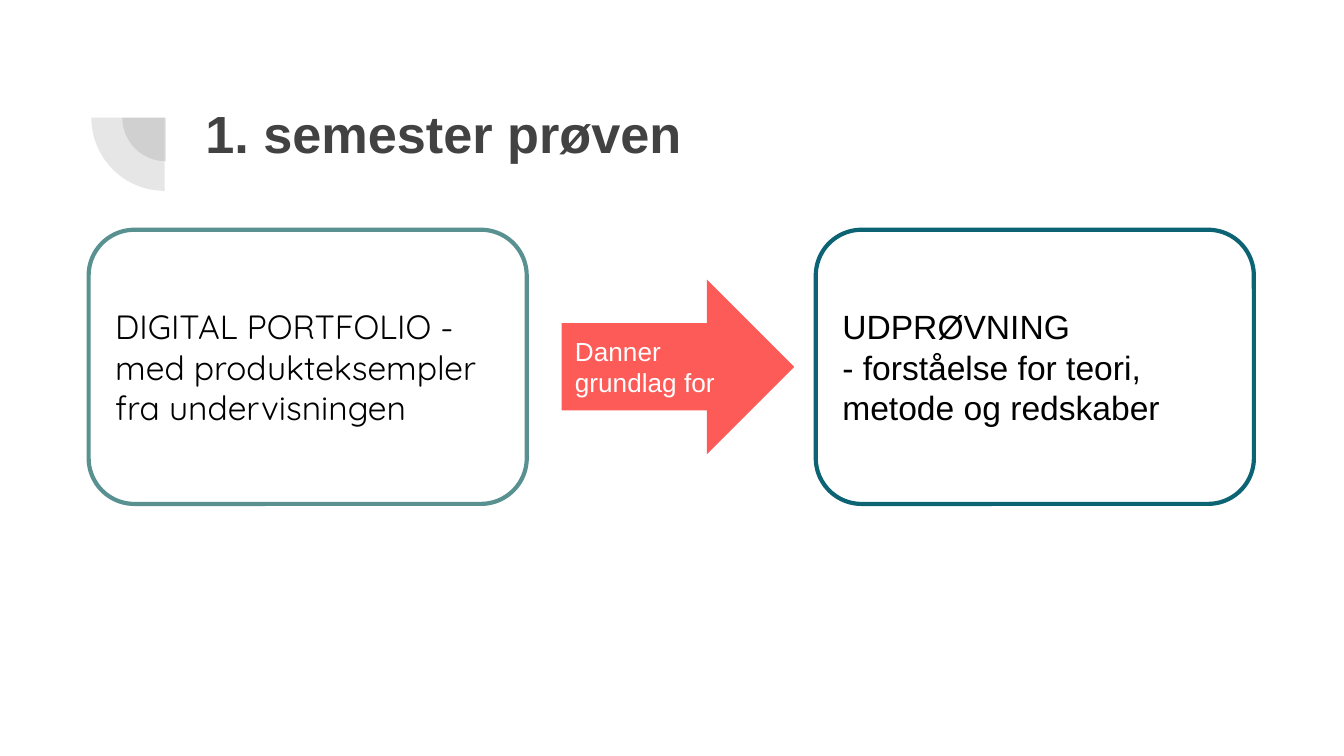
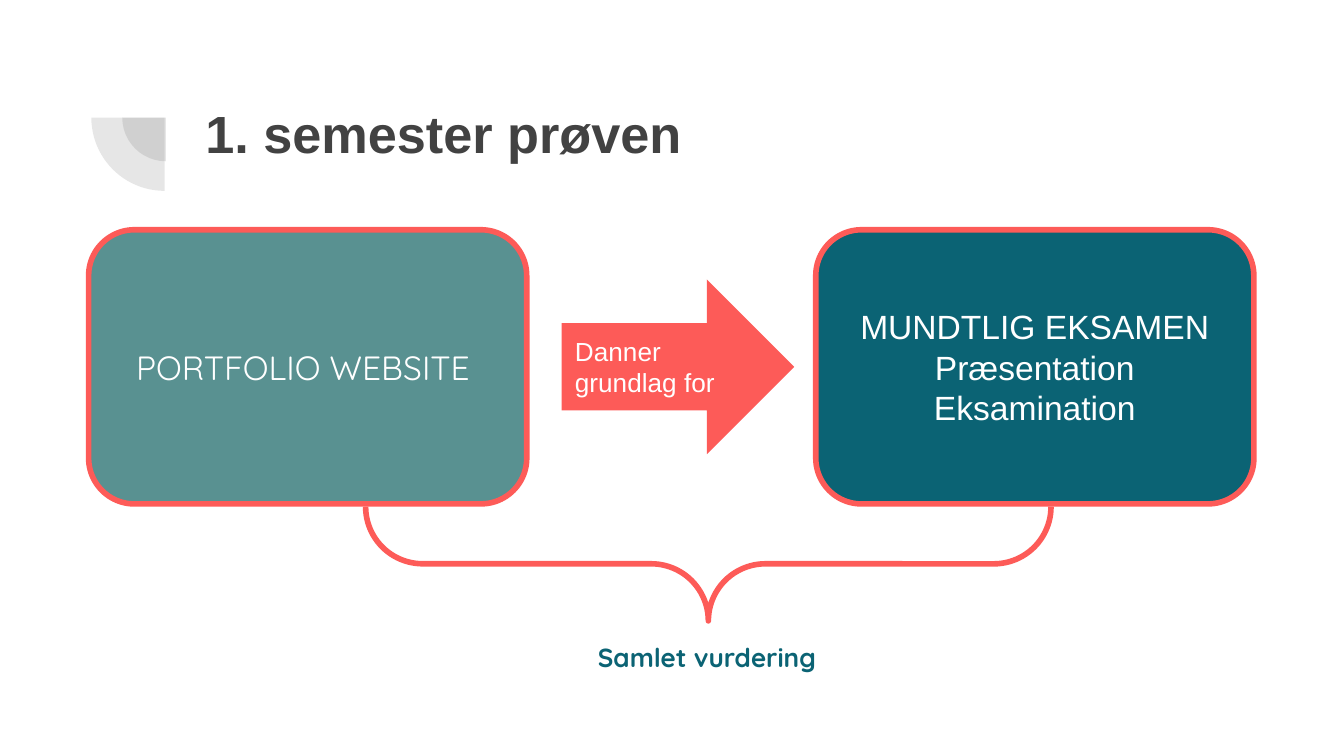
from dataclasses import dataclass

from lxml import etree
from pptx import Presentation
from pptx.dml.color import RGBColor
from pptx.enum.shapes import MSO_SHAPE
from pptx.enum.text import MSO_ANCHOR, PP_ALIGN
from pptx.oxml.ns import qn
from pptx.util import Inches, Pt

PIE, ROUNDED = MSO_SHAPE.PIE, MSO_SHAPE.ROUNDED_RECTANGLE
ARROW, BRACE = MSO_SHAPE.RIGHT_ARROW, MSO_SHAPE.RIGHT_BRACE
TOP, MIDDLE = MSO_ANCHOR.TOP, MSO_ANCHOR.MIDDLE
LEFT, CENTER = PP_ALIGN.LEFT, PP_ALIGN.CENTER


@dataclass(frozen=True)
class Theme:
    grey: str = "424242"
    black: str = "000000"
    white: str = "FFFFFF"
    sage: str = "599191"
    petrol: str = "0B6374"
    coral: str = "FD5B58"
    sans: str = "Arial"
    rounded: str = "Quicksand"
    title_size: int = 28
    body_size: int = 18
    label_size: int = 14
    inset: float = 0.1
    pie_opacity: int = 13


THEME = Theme()

# Boxes are left, top, width, height in inches.
PAGE_WIDTH = 10
PAGE_HEIGHT = PAGE_WIDTH * 9 / 16
HEADER = (0.68, 0.33, 8.44, 1.41)
PORTFOLIO = (0.66, 1.71, 3.26, 2.04)
EXAM = (6.07, 1.71, 3.26, 2.04)
GAP = (4.18, 2.08, 1.73, 1.3)
SUMMARY = (2.72, 3.77, 5.1, 1.37)


def text_format(size, color, font=THEME.sans, bold=False):
    return {"size": Pt(size), "name": font, "bold": bold, "color": color}


def write(shape, lines, style, anchor=TOP, align=LEFT):
    frame = shape.text_frame
    inset = Inches(THEME.inset)
    settings = {"word_wrap": True, "vertical_anchor": anchor,
                "margin_left": inset, "margin_right": inset,
                "margin_top": inset, "margin_bottom": inset}
    for name, value in settings.items():
        setattr(frame, name, value)
    for index, line in enumerate(lines):
        para = frame.add_paragraph() if index else frame.paragraphs[0]
        para.alignment = align
        span = para.add_run()
        span.text = line
        for name, value in style.items():
            if name == "color":
                span.font.color.rgb = RGBColor.from_string(value)
            else:
                setattr(span.font, name, value)


def add_text(page, box, lines, style):
    write(page.shapes.add_textbox(*map(Inches, box)), lines, style)


def add_figure(page, kind, box, fill=None, line=None, width=0, adjust=(), turn=0):
    shape = page.shapes.add_shape(kind, *map(Inches, box))
    shape.shadow.inherit = False
    shape.rotation = turn
    for index, value in enumerate(adjust):
        shape.adjustments[index] = value
    if fill:
        shape.fill.solid()
        shape.fill.fore_color.rgb = RGBColor.from_string(fill)
    else:
        shape.fill.background()
    if line:
        shape.line.color.rgb = RGBColor.from_string(line)
        shape.line.width = Pt(width)
    else:
        shape.line.fill.background()
    return shape


def set_opacity(shape, percent):
    color = shape.element.spPr.find(qn("a:solidFill"))[0]
    etree.SubElement(color, qn("a:alpha")).set("val", str(percent * 1000))


def add_header(page, box, title):
    """Two nested quarter circles with the title to their right."""
    left, top, width, height = box
    for inset_x, inset_y, size in ((0.23, 0.22, 0.65), (0, 0, 1.09)):
        # Pie angles count in 100000ths of 1/60000 degree: 108 is 180 degrees.
        pie = add_figure(page, PIE, (left + inset_x, top + inset_y, size, size),
                         fill=THEME.grey, adjust=(108, 162), turn=270)
        set_opacity(pie, THEME.pie_opacity)
    title_box = (left + 0.75, top + 0.32, width - 0.75, height - 0.32)
    add_text(page, title_box, [title],
             text_format(THEME.title_size, THEME.grey, bold=True))


def add_card(page, box, lines, style, align=LEFT, **look):
    card = add_figure(page, ROUNDED, box, adjust=(0.167,), **look)
    write(card, lines, style, MIDDLE, align)


def add_step_arrow(page, box, label):
    arrow = add_figure(page, ARROW, box, fill=THEME.coral, adjust=(0.5, 0.5))
    write(arrow, [label], text_format(THEME.label_size, THEME.white), MIDDLE)


def add_summary(page, box, label):
    """A brace pointing down at a label."""
    left, top, width, height = box
    depth = 0.85
    # The brace is upright before its quarter turn about its centre.
    upright = (left + (width - depth) / 2, top + (depth - width) / 2, depth, width)
    add_figure(page, BRACE, upright, line=THEME.coral, width=3,
               adjust=(0.5, 0.5), turn=90)
    label_box = (left + 1.63, top + 0.9, 1.84, height - 0.9)
    add_text(page, label_box, [label],
             text_format(THEME.label_size, THEME.petrol, THEME.rounded, True))


def start_page(deck):
    page = deck.slides.add_slide(deck.slide_layouts[6])
    add_header(page, HEADER, "1. semester prøven")
    add_step_arrow(page, GAP, "Danner grundlag for")
    return page


def add_basis_page(deck):
    page = start_page(deck)
    add_card(page, PORTFOLIO,
             ["DIGITAL PORTFOLIO - med produkteksempler fra undervisningen"],
             text_format(THEME.body_size, THEME.black, THEME.rounded),
             line=THEME.sage, width=2.25)
    add_card(page, EXAM,
             ["UDPRØVNING", "- forståelse for teori, metode og redskaber"],
             text_format(THEME.body_size, THEME.black),
             line=THEME.petrol, width=2.25)


def add_assessment_page(deck):
    page = start_page(deck)
    add_summary(page, SUMMARY, "Samlet vurdering")
    outline = {"line": THEME.coral, "width": 3, "align": CENTER}
    add_card(page, PORTFOLIO, ["PORTFOLIO WEBSITE "],
             text_format(THEME.body_size, THEME.white, THEME.rounded),
             fill=THEME.sage, **outline)
    add_card(page, EXAM, ["MUNDTLIG EKSAMEN", "Præsentation", "Eksamination"],
             text_format(THEME.body_size, THEME.white),
             fill=THEME.petrol, **outline)


def main():
    deck = Presentation()
    deck.slide_width, deck.slide_height = Inches(PAGE_WIDTH), Inches(PAGE_HEIGHT)
    add_basis_page(deck)
    add_assessment_page(deck)
    deck.save("out.pptx")


if __name__ == "__main__":
    main()
